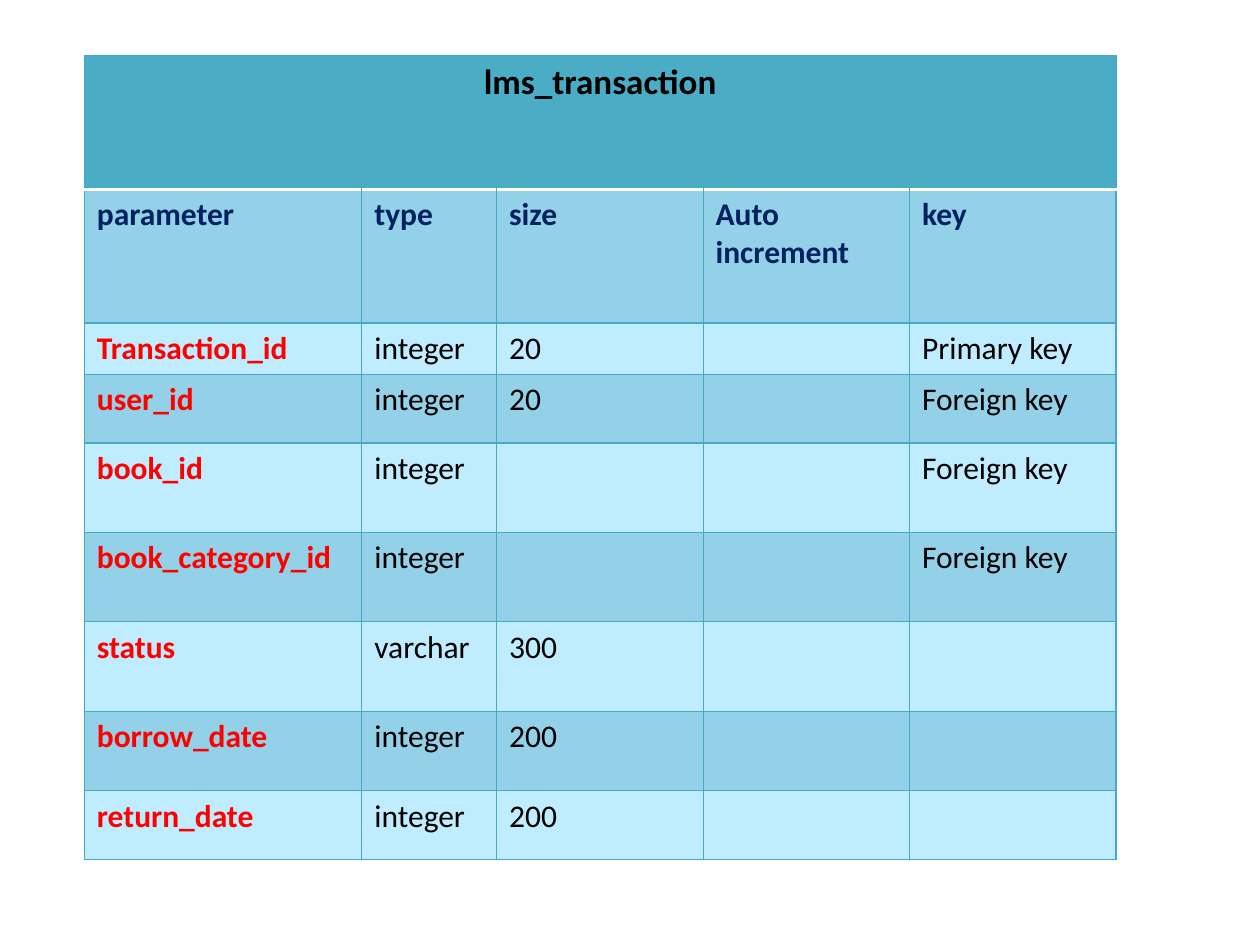
from lxml import etree
from pptx import Presentation
from pptx.dml.color import RGBColor
from pptx.enum import text
from pptx.oxml import ns
from pptx.util import Pt

TEAL = RGBColor(0x4B, 0xAC, 0xC6)
BAND = RGBColor(0x92, 0xD1, 0xE8)
PALE = RGBColor(0xBF, 0xEC, 0xFF)
GRID = RGBColor(0x46, 0xAA, 0xC5)
NAVY = RGBColor(0x00, 0x20, 0x60)
RED = RGBColor(0xFF, 0x00, 0x00)
BLACK = RGBColor(0x00, 0x00, 0x00)
WHITE = RGBColor(0xFF, 0xFF, 0xFF)

# Text formats
TITLE = dict(size=Pt(20), bold=True, color=BLACK)
HEADING = dict(size=Pt(18), bold=True, color=NAVY)
FIELD = dict(HEADING, color=RED)
VALUE = dict(HEADING, bold=False, color=BLACK)


class SchemaSlide:
    font_name = "Calibri"

    def __init__(self, deck):
        self.slide = deck.slides.add_slide(deck.slide_layouts[6])

    def table(self, left, top, widths, heights):
        frame = self.slide.shapes.add_table(
            len(heights), len(widths), Pt(left), Pt(top),
            Pt(sum(widths)), Pt(sum(heights)))
        grid = frame.table
        for column, width in zip(grid.columns, widths):
            column.width = Pt(width)
        for row, height in zip(grid.rows, heights):
            row.height = Pt(height)
        return grid

    def border(self, cell, side, color=GRID, width=0.75):
        line = etree.SubElement(cell._tc.get_or_add_tcPr(),
                                ns.qn("a:ln" + side), w=str(Pt(width)))
        solid = etree.SubElement(line, ns.qn("a:solidFill"))
        etree.SubElement(solid, ns.qn("a:srgbClr"), val=str(color))

    def cell(self, cell, words, fill, style, white_side=None):
        for side in "LRTB":
            if side == white_side:
                self.border(cell, side, WHITE, 2)
            else:
                self.border(cell, side)
        cell.fill.solid()
        cell.fill.fore_color.rgb = fill
        if words:
            self.add_words(cell.text_frame.paragraphs[0], words, style)

    def add_words(self, paragraph, words, style):
        run = paragraph.add_run()
        run.text = words
        run.font.name = self.font_name
        for name, value in style.items():
            if name == "color":
                run.font.color.rgb = value
            else:
                setattr(run.font, name, value)


deck = Presentation()
deck.slide_width, deck.slide_height = Pt(720), Pt(540)
page = SchemaSlide(deck)

# Table content
headings = ["parameter", "type", "size", "Auto increment", "key"]
fields = [
    ["Transaction_id", "integer", "20", "", "Primary key"],
    ["user_id", "integer", "20", "", "Foreign key"],
    ["book_id", "integer", "", "", "Foreign key"],
    ["book_category_id", "integer", "", "", "Foreign key"],
    ["status", "varchar", "300", "", ""],
    ["borrow_date", "integer", "200", "", ""],
    ["return_date", "integer", "200", "", ""],
]

schema = page.table(48.2, 31.6, [158.6, 77, 118, 118, 118],
                    [76.5, 76.5, 29.4, 39.2, 51.1, 51.1, 51.1, 45.6, 39.4])

# Table name across the top
for index in range(len(headings)):
    page.cell(schema.cell(0, index), "" if index else "lms_transaction",
              TEAL, TITLE, white_side="B")
schema.cell(0, 0).merge(schema.cell(0, len(headings) - 1))
schema.cell(0, 0).text_frame.paragraphs[0].alignment = text.PP_ALIGN.CENTER

# Headings and banded field rows
for row, entries in enumerate([headings] + fields, start=1):
    for col, words in enumerate(entries):
        style = HEADING if row == 1 else VALUE if col else FIELD
        page.cell(schema.cell(row, col), words, BAND if row % 2 else PALE,
                  style, white_side="T" if row == 1 else None)

deck.save("out.pptx")
